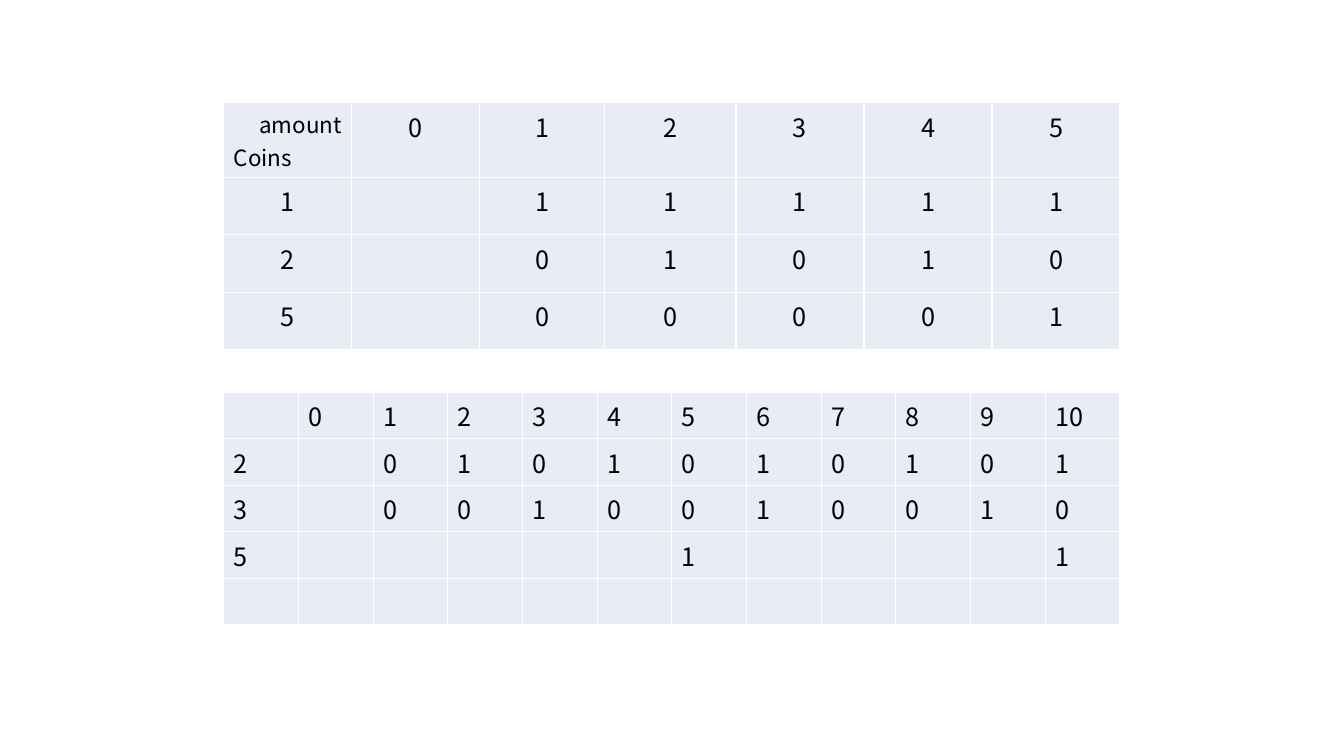
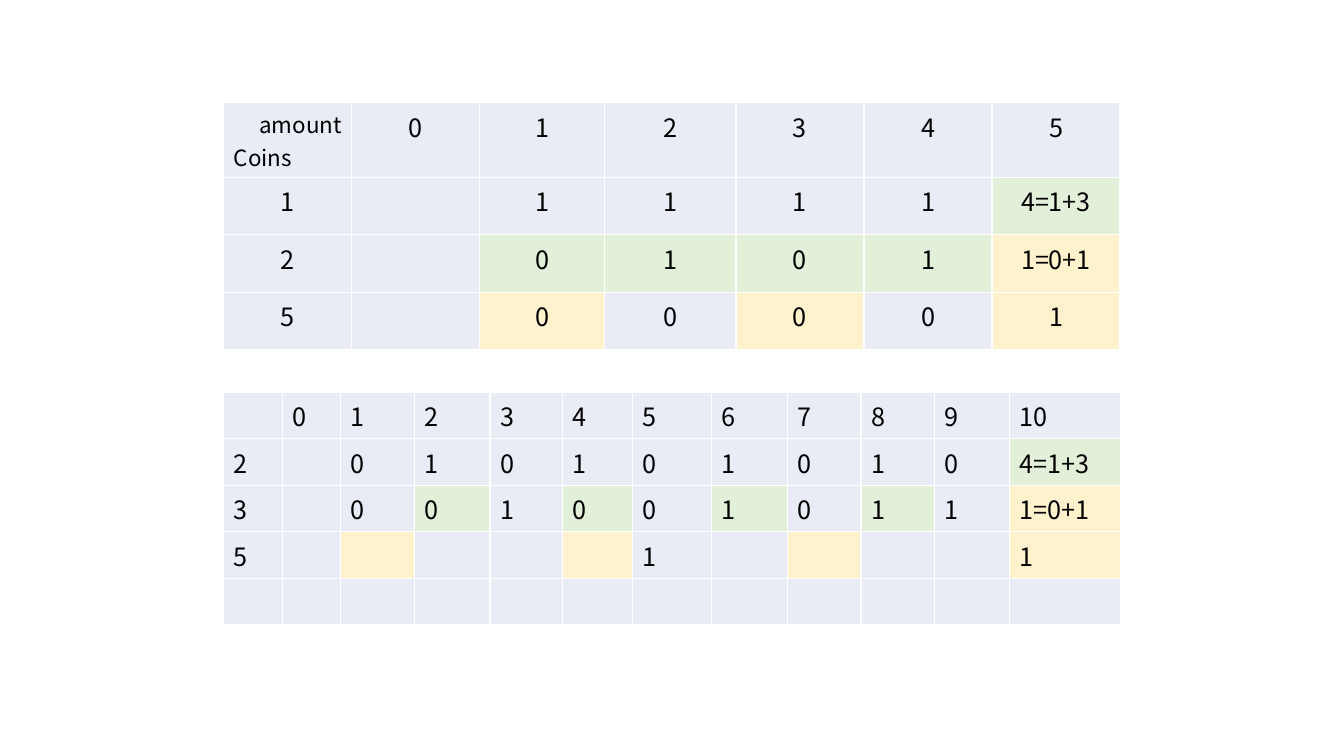
from lxml import etree
from pptx import Presentation
from pptx.dml.color import RGBColor
from pptx.enum.text import PP_ALIGN
from pptx.oxml.ns import qn
from pptx.util import Inches, Pt

LEFT, CENTER, RIGHT = PP_ALIGN.LEFT, PP_ALIGN.CENTER, PP_ALIGN.RIGHT
BLACK = RGBColor(0x00, 0x00, 0x00)
WHITE = RGBColor(0xFF, 0xFF, 0xFF)
LAVENDER = RGBColor(0xE9, 0xEB, 0xF5)
GREEN = RGBColor(0xE2, 0xF0, 0xD9)
YELLOW = RGBColor(0xFF, 0xF2, 0xCC)
FILLS = {"-": LAVENDER, "g": GREEN, "y": YELLOW}
FONT = "Noto Sans CJK SC"
TABLE_LEFT, TABLE_WIDTH = 2.22, 8.89

# Geometry shared by both slides
AMOUNT_TOP, AMOUNT_ROWS = 1.02, [0.74, 0.57, 0.57, 0.57]
AMOUNT_COLUMNS = [1.27, 1.27, 1.24, 1.3, 1.27, 1.27, 1.27]
SUM_TOP, SUM_ROWS = 3.89, [0.46] * 5
EVEN_COLUMNS = [TABLE_WIDTH / 12] * 12
FITTED_COLUMNS = [0.58, 0.58, 0.73, 0.75, 0.72, 0.69, 0.79, 0.75, 0.73, 0.73, 0.74, 1.11]

# Header rows shared by both slides
AMOUNT_HEADER = "amount\nCoins|0|1|2|3|4|5"
SUM_HEADER = "|0|1|2|3|4|5|6|7|8|9|10"
SUM_EMPTY = "|" * 11


def style_cell(cell, text, fill, alignment):
    properties = cell._tc.get_or_add_tcPr()
    for side in ("a:lnL", "a:lnR", "a:lnT", "a:lnB"):
        line = etree.SubElement(properties, qn(side), w=str(Pt(1)))
        line_fill = etree.SubElement(line, qn("a:solidFill"))
        etree.SubElement(line_fill, qn("a:srgbClr"), val=str(WHITE))
    cell.fill.solid()
    cell.fill.fore_color.rgb = fill
    cell.text = text
    corner = "\n" in text
    for paragraph in cell.text_frame.paragraphs:
        paragraph.alignment = LEFT if corner else alignment
        paragraph.font.name = FONT
        paragraph.font.size = Pt(16 if corner else 18)
        paragraph.font.color.rgb = BLACK
    if corner:
        cell.text_frame.paragraphs[0].alignment = RIGHT


def add_grid(slide, top, widths, heights, rows, marks, alignment):
    frame = slide.shapes.add_table(
        len(heights), len(widths), Inches(TABLE_LEFT), Inches(top),
        Inches(sum(widths)), Inches(sum(heights)))
    table = frame.table
    table.first_row = table.horz_banding = False
    for column, width in zip(table.columns, widths):
        column.width = Inches(width)
    for row, height, texts, row_marks in zip(table.rows, heights, rows, marks):
        row.height = Inches(height)
        for cell, text, mark in zip(row.cells, texts.split("|"), row_marks):
            style_cell(cell, text, FILLS[mark], alignment)


# Each slide: amount rows and marks, then sum columns, rows and marks
SLIDES = [
    (["1||1|1|1|1|1", "2||0|1|0|1|0", "5||0|0|0|0|1"],
     ["-" * 7] * 4,
     EVEN_COLUMNS,
     ["2||0|1|0|1|0|1|0|1|0|1", "3||0|0|1|0|0|1|0|0|1|0", "5||||||1|||||1"],
     ["-" * 12] * 5),
    (["1||1|1|1|1|4=1+3", "2||0|1|0|1|1=0+1", "5||0|0|0|0|1"],
     ["-------", "------g", "--ggggy", "--y-y-y"],
     FITTED_COLUMNS,
     ["2||0|1|0|1|0|1|0|1|0|4=1+3", "3||0|0|1|0|0|1|0|1|1|1=0+1", "5||||||1|||||1"],
     ["------------", "-----------g", "---g-g-g-g-y", "--y--y--y--y", "------------"]),
]

presentation = Presentation()
presentation.slide_width = Inches(13.33)
presentation.slide_height = Inches(7.5)

for amount_rows, amount_marks, sum_columns, sum_rows, sum_marks in SLIDES:
    slide = presentation.slides.add_slide(presentation.slide_layouts[6])
    add_grid(slide, AMOUNT_TOP, AMOUNT_COLUMNS, AMOUNT_ROWS,
             [AMOUNT_HEADER, *amount_rows], amount_marks, CENTER)
    add_grid(slide, SUM_TOP, sum_columns, SUM_ROWS,
             [SUM_HEADER, *sum_rows, SUM_EMPTY], sum_marks, LEFT)

presentation.save("out.pptx")
